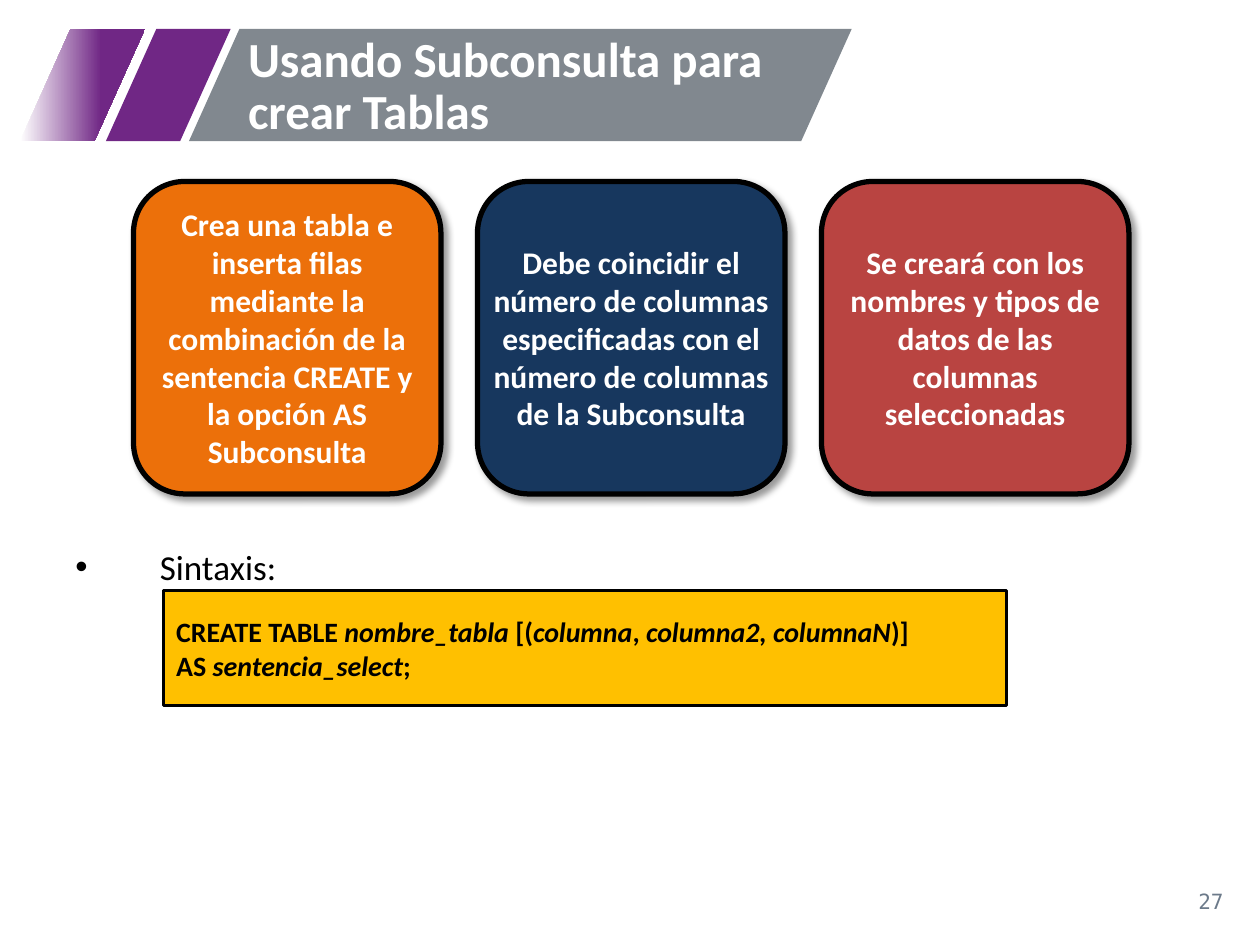
from lxml import etree
from pptx import Presentation
from pptx import util as u
from pptx.dml.color import RGBColor
from pptx.enum import shapes, text
from pptx.oxml import ns

WHITE = RGBColor(0xFF, 0xFF, 0xFF)
BLACK = RGBColor(0, 0, 0)
PURPLE = RGBColor(0x70, 0x27, 0x85)
GREY = RGBColor(0x81, 0x88, 0x8F)
SLATE = RGBColor(0x6C, 0x7A, 0x8A)
GOLD = RGBColor(0xFF, 0xC0, 0x00)
ORANGE = RGBColor(0xEC, 0x70, 0x0A)
NAVY = RGBColor(0x17, 0x37, 0x5E)
RED = RGBColor(0xB9, 0x44, 0x41)

KIND = shapes.MSO_SHAPE
ALIGN = text.PP_ALIGN

# Header band and card row, in inches
TOP, BAND = 0.23, 0.89
LEFT, STEP, SIDE, TALL = 1.06, 2.73, 2.44, 2.48

CARDS = [
    ("Crea una tabla e inserta filas mediante la combinación de la "
     "sentencia CREATE y la opción AS Subconsulta", ORANGE),
    ("Debe coincidir el número de columnas especificadas con el número "
     "de columnas de la Subconsulta", NAVY),
    ("Se creará con los nombres y tipos de datos de las columnas "
     "seleccionadas", RED),
]

# Code lines as (words, italic) pairs
CODE = [
    [("CREATE TABLE ", False), ("nombre_tabla ", True), ("[(", False),
     ("columna", True), (", ", False), ("columna2, columnaN", True),
     (")]", False)],
    [("AS ", False), ("sentencia_select", True), (";", False)],
]


def style(font, size, color, bold=False, name="Calibri"):
    font.name, font.size, font.bold = name, u.Pt(size), bold
    font.color.rgb = color


def add_shape(slide, kind, box, fill, line=None):
    shape = slide.shapes.add_shape(kind, *map(u.Inches, box))
    shape.shadow.inherit = False
    shape.fill.solid()
    shape.fill.fore_color.rgb = fill
    if line:
        shape.line.color.rgb = BLACK
        shape.line.width = u.Pt(line)
    else:
        shape.line.fill.background()
    return shape


def add_text(slide, box, words):
    frame = slide.shapes.add_textbox(*map(u.Inches, box)).text_frame
    frame.word_wrap = True
    frame.vertical_anchor = text.MSO_ANCHOR.MIDDLE
    frame.text = words
    return frame.paragraphs[0]


def add_slant(slide, left, width, fill):
    shape = add_shape(slide, KIND.PARALLELOGRAM, (left, TOP, width, BAND), fill)
    shape.adjustments[0] = 0.45
    return shape


def add_fade(slide, left, width):
    fill = add_slant(slide, left, width, PURPLE).fill
    fill.gradient()
    fill.gradient_angle = 0
    for stop, (place, color) in zip(fill.gradient_stops,
                                    [(0, WHITE), (0.65, PURPLE)]):
        stop.position = place
        stop.color.rgb = color


def add_shade(shape):
    effects = shape.element.spPr.find(ns.qn("a:effectLst"))
    shade = etree.SubElement(effects, ns.qn("a:outerShdw"),
                             blurRad=str(u.Pt(4)), dist=str(u.Pt(3)),
                             dir=str(45 * 60000), algn="tl", rotWithShape="0")
    color = etree.SubElement(shade, ns.qn("a:srgbClr"), val=str(BLACK))
    etree.SubElement(color, ns.qn("a:alpha"), val="40000")


def add_card(slide, col, words, fill):
    box = (LEFT + col * STEP, 1.44, SIDE, TALL)
    card = add_shape(slide, KIND.ROUNDED_RECTANGLE, box, fill, 3)
    add_shade(card)
    frame = card.text_frame
    frame.word_wrap = True
    frame.margin_left = frame.margin_right = 0
    frame.margin_top = frame.margin_bottom = 0
    frame.text = words
    para = frame.paragraphs[0]
    para.alignment = ALIGN.CENTER
    style(para.font, 18, WHITE, True)


def add_bullet(slide, box, words):
    para = add_text(slide, box, words)
    props = para._p.get_or_add_pPr()
    indent = u.Inches(0.67)
    props.set("marL", str(indent))
    props.set("indent", str(-indent))
    etree.SubElement(props, ns.qn("a:buFont"), typeface="Arial")
    etree.SubElement(props, ns.qn("a:buChar"), char="•")
    style(para.font, 20, BLACK)


def add_code(slide, box, lines):
    frame = add_shape(slide, KIND.RECTANGLE, box, GOLD, 1.75).text_frame
    frame.word_wrap = True
    frame.text = "\n".join("".join(w for w, _ in line) for line in lines)
    for para, line in zip(frame.paragraphs, lines):
        para.alignment = ALIGN.LEFT
        para.clear()
        for words, slope in line:
            run = para.add_run()
            run.text = words
            style(run.font, 16, BLACK, True)
            run.font.italic = slope


def main():
    deck = Presentation()
    deck.slide_width, deck.slide_height = u.Inches(10), u.Inches(7.5)
    slide = deck.slides.add_slide(deck.slide_layouts[6])

    # Header band
    add_slant(slide, 0.84, 0.99, PURPLE)
    add_fade(slide, 0.16, 0.99)
    add_slant(slide, 1.5, 5.26, GREY)
    title = add_text(slide, (1.87, 0.25, 5.08, BAND),
                     "Usando Subconsulta para crear Tablas")
    title.line_spacing = 0.9
    style(title.font, 28, WHITE, True)

    # Three cards
    for col, (words, fill) in enumerate(CARDS):
        add_card(slide, col, words, fill)

    # Syntax
    add_bullet(slide, (0.5, 4.28, 9, 0.43), "Sintaxis:")
    add_code(slide, (1.3, 4.69, 6.69, 0.91), CODE)

    # Page number
    page = add_text(slide, (7.56, 6.95, 2.25, 0.4), "27")
    page.alignment = ALIGN.RIGHT
    style(page.font, 12, SLATE, name="DejaVu Sans Mono")

    deck.save("out.pptx")


if __name__ == "__main__":
    main()
